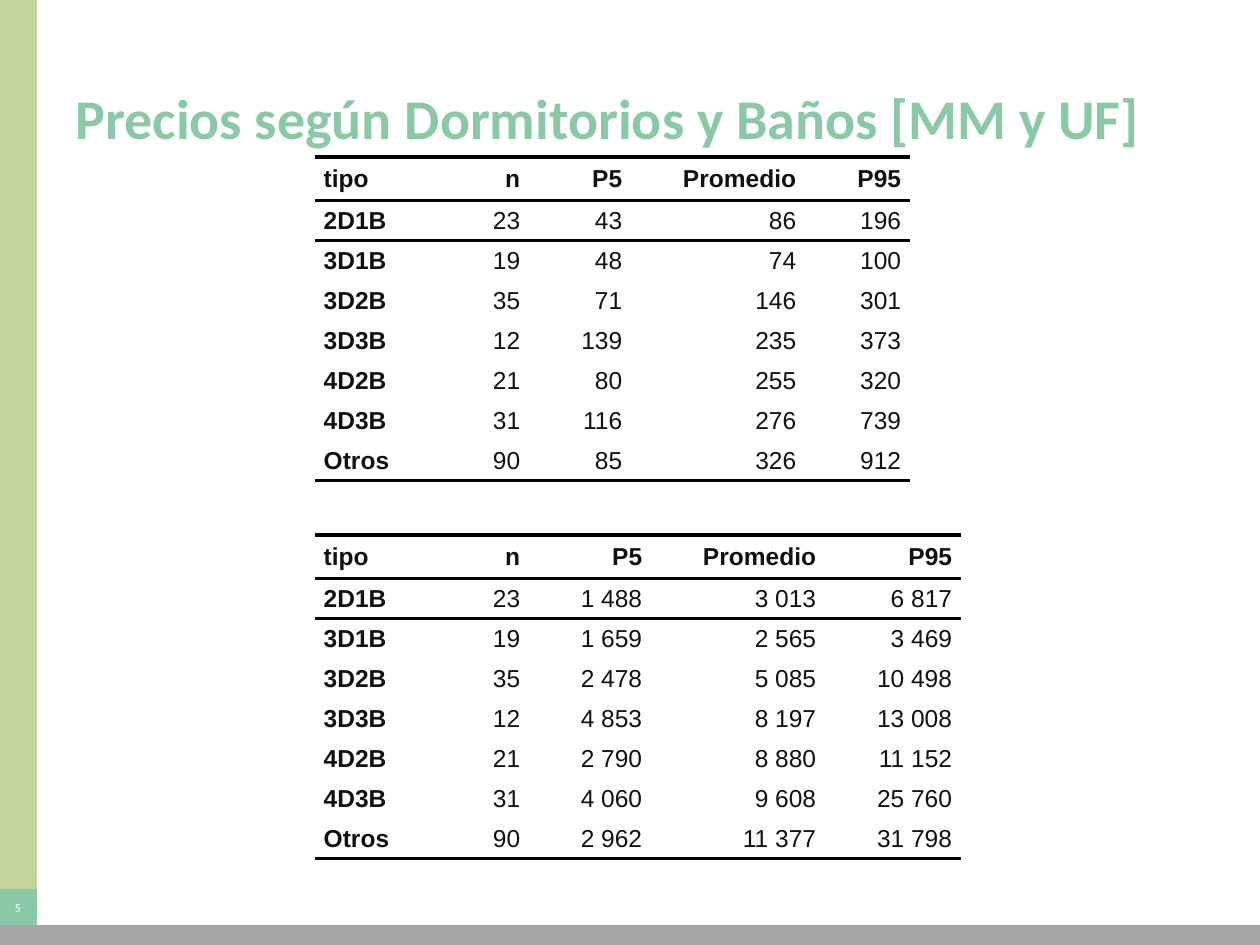
from lxml import etree
from pptx import Presentation, util as u
from pptx.dml.color import RGBColor
from pptx.enum import shapes, text
from pptx.oxml.ns import qn

# Content
TITLE = "Precios según Dormitorios y Baños [MM y UF]"
PAGE = "5"
HEADER = ("tipo", "n", "P5", "Promedio", "P95")
TYPES = [("2D1B", "23"), ("3D1B", "19"), ("3D2B", "35"), ("3D3B", "12"),
         ("4D2B", "21"), ("4D3B", "31"), ("Otros", "90")]
PRICES = [
    {"top": 157, "widths": (126, 88, 102, 174, 105),  # MM
     "values": [("43", "86", "196"), ("48", "74", "100"),
                ("71", "146", "301"), ("139", "235", "373"),
                ("80", "255", "320"), ("116", "276", "739"),
                ("85", "326", "912")]},
    {"top": 535, "widths": (126, 88, 122, 174, 136),  # UF
     "values": [("1 488", "3 013", "6 817"), ("1 659", "2 565", "3 469"),
                ("2 478", "5 085", "10 498"), ("4 853", "8 197", "13 008"),
                ("2 790", "8 880", "11 152"), ("4 060", "9 608", "25 760"),
                ("2 962", "11 377", "31 798")]},
]
TABLE_LEFT, HEADER_HEIGHT, ROW_HEIGHT = 315, 44, 40
NO_STYLE = "{2D5ABB26-0587-4C30-8999-92F81FD0307C}"
GREEN = "8BC8A6"


def px(n):
    return u.Emu(round(n * 914400 / 126))


def colour(value):
    return RGBColor.from_string(value)


def set_font(paragraph, name, size, value, bold):
    font = paragraph.font
    font.name, font.size, font.bold = name, u.Pt(size), bold
    font.color.rgb = colour(value)


def add_band(slide, box, fill):
    band = slide.shapes.add_shape(shapes.MSO_SHAPE.RECTANGLE, *map(px, box))
    band.shadow.inherit = False
    band.fill.solid()
    band.fill.fore_color.rgb = colour(fill)
    band.line.fill.background()
    return band


def add_rules(cell, sides):
    """Draw a black 2 pt line on each of the given sides."""
    properties = cell._tc.get_or_add_tcPr()
    for position, side in enumerate(sides):
        rule = etree.Element(qn(f"a:{side}"), w=str(u.Pt(2)))
        fill = etree.SubElement(rule, qn("a:solidFill"))
        etree.SubElement(fill, qn("a:srgbClr"), val="000000")
        properties.insert(position, rule)


def fill_cell(cell, words, bold, align):
    cell.fill.background()
    cell.margin_left = cell.margin_right = cell.margin_top = cell.margin_bottom = 0
    cell.vertical_anchor = text.MSO_ANCHOR.MIDDLE
    paragraph = cell.text_frame.paragraphs[0]
    paragraph.text = words
    paragraph.alignment = align
    for side in ("marL", "marR"):
        paragraph._p.get_or_add_pPr().set(side, str(u.Pt(5)))
    set_font(paragraph, "Arial", 14, "111111", bold)


def add_prices(slide, top, widths, values):
    rows = [HEADER] + [kind + prices for kind, prices in zip(TYPES, values)]
    heights = [HEADER_HEIGHT] + [ROW_HEIGHT] * len(TYPES)
    table = slide.shapes.add_table(
        len(rows), len(HEADER), px(TABLE_LEFT), px(top),
        px(sum(widths)), px(sum(heights))).table
    table._tbl.tblPr.find(qn("a:tableStyleId")).text = NO_STYLE
    table.horz_banding = False
    for column, width in zip(table.columns, widths):
        column.width = px(width)
    for r, (row, height) in enumerate(zip(rows, heights)):
        table.rows[r].height = px(height)
        for c, words in enumerate(row):
            cell = table.cell(r, c)
            align = text.PP_ALIGN.RIGHT if c else text.PP_ALIGN.LEFT
            fill_cell(cell, words, r == 0 or c == 0, align)
            if r == 0:
                add_rules(cell, ("lnT", "lnB"))
            elif r == 1:
                add_rules(cell, ("lnT",))
            elif r == len(rows) - 1:
                add_rules(cell, ("lnB",))


def main():
    deck = Presentation()
    deck.slide_width, deck.slide_height = px(1260), px(945)
    slide = deck.slides.add_slide(deck.slide_layouts[6])

    # Side and bottom bands, with the page number
    add_band(slide, (0, 0, 37, 889), "C3D69B")
    page = add_band(slide, (-1, 889, 38, 37), GREEN)
    add_band(slide, (-1, 925, 1264, 20), "A6A6A6")
    frame = page.text_frame
    frame.margin_left = frame.margin_right = 0
    frame.vertical_anchor = text.MSO_ANCHOR.MIDDLE
    number = frame.paragraphs[0]
    number.text = PAGE
    number.alignment = text.PP_ALIGN.CENTER
    set_font(number, "Calibri", 7, "ECECEC", True)

    # Title
    heading = slide.shapes.add_textbox(px(63), px(38), px(1134), px(158)).text_frame
    heading.word_wrap = True
    heading.vertical_anchor = text.MSO_ANCHOR.MIDDLE
    heading.text = TITLE
    set_font(heading.paragraphs[0], "Calibri", 32, GREEN, True)

    # Price tables
    for prices in PRICES:
        add_prices(slide, **prices)

    deck.save("out.pptx")


if __name__ == "__main__":
    main()
